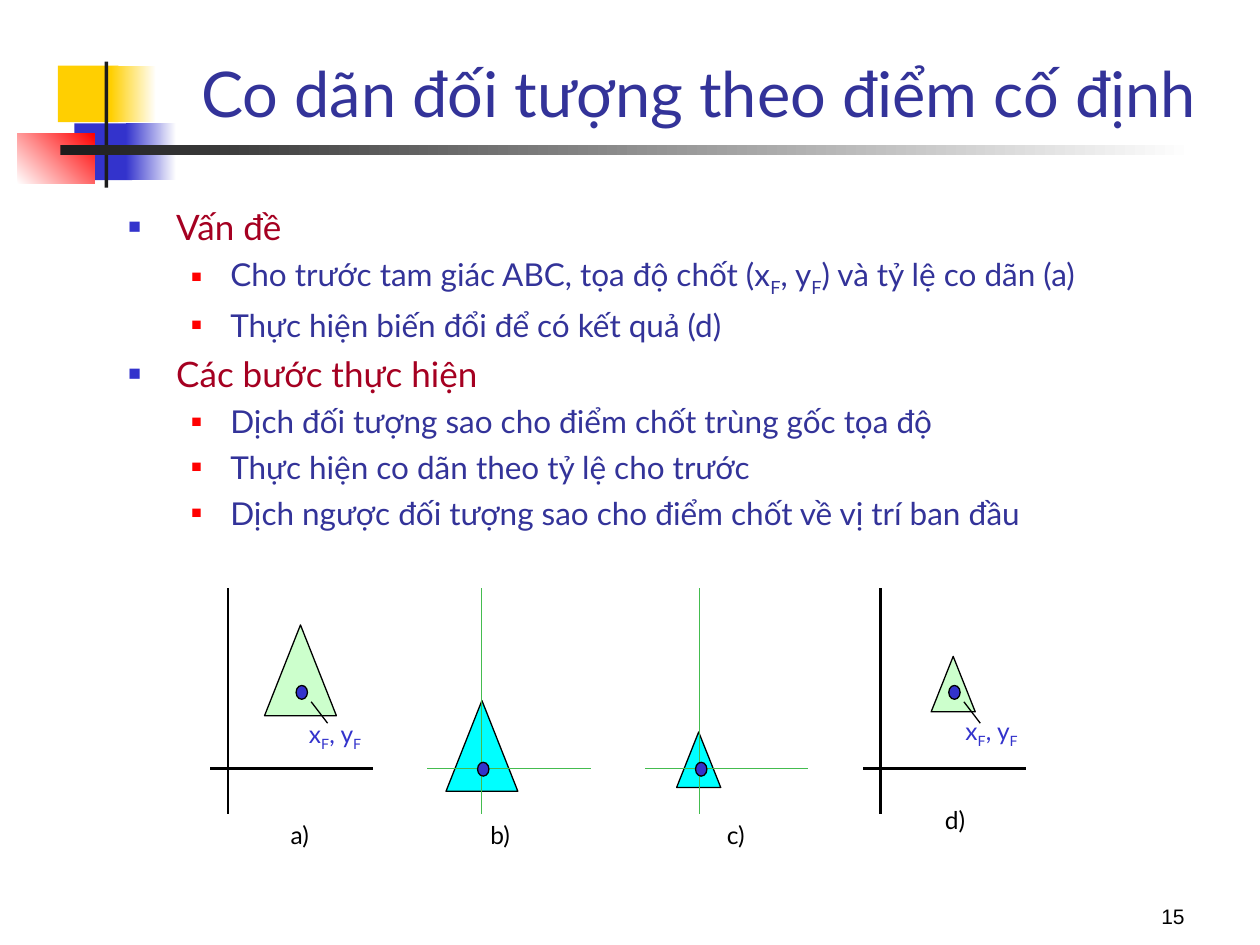
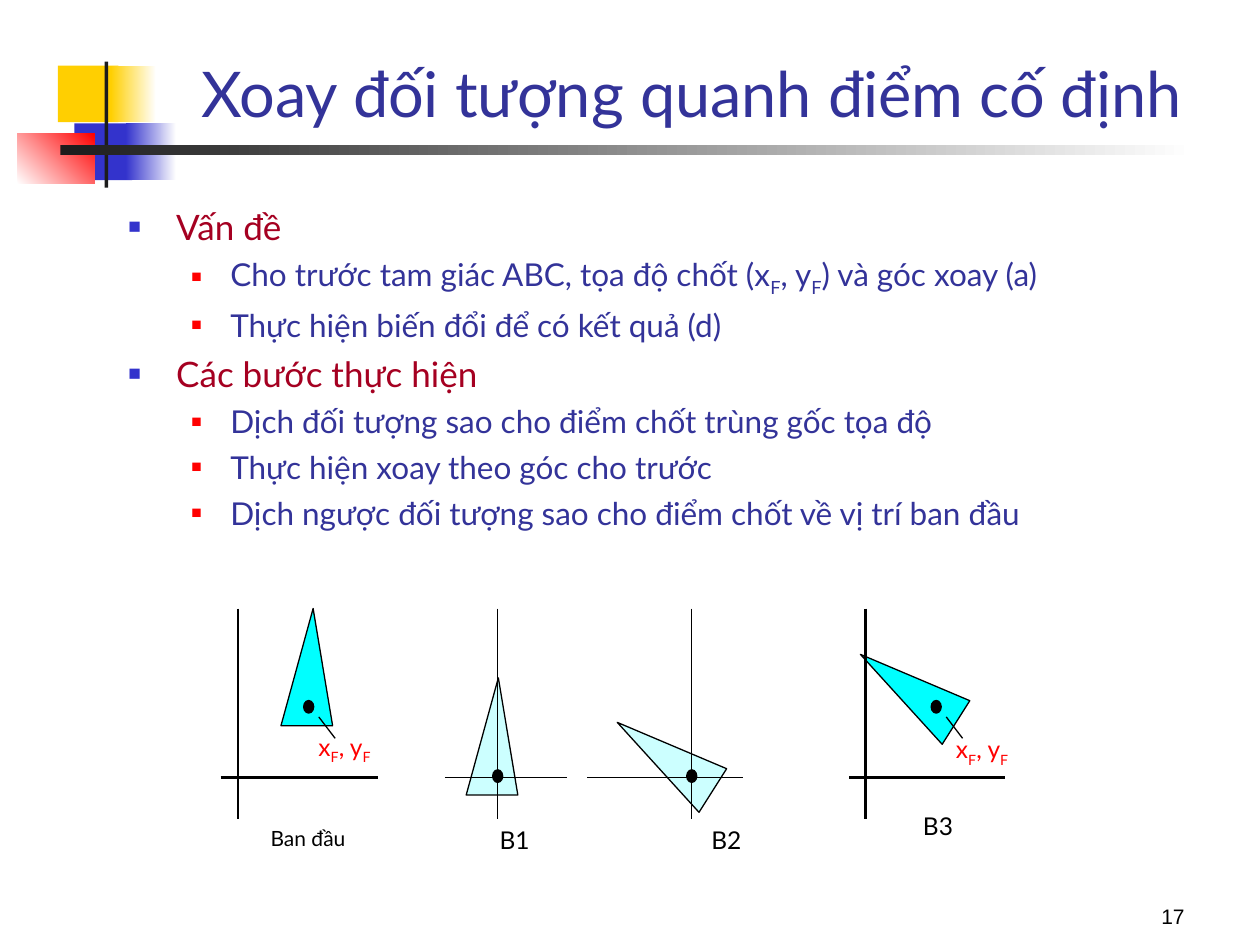
from lxml import etree
from pptx import Presentation
from pptx.dml.color import RGBColor
from pptx.enum.shapes import MSO_CONNECTOR, MSO_SHAPE
from pptx.enum.text import MSO_ANCHOR, PP_ALIGN
from pptx.oxml.ns import qn
from pptx.util import Inches, Pt

RECT, OVAL = MSO_SHAPE.RECTANGLE, MSO_SHAPE.OVAL
TRI = MSO_SHAPE.ISOSCELES_TRIANGLE
LINE = MSO_CONNECTOR.STRAIGHT
TOP, BOTTOM = MSO_ANCHOR.TOP, MSO_ANCHOR.BOTTOM
LEFT, MID, RIGHT = PP_ALIGN.LEFT, PP_ALIGN.CENTER, PP_ALIGN.RIGHT

WHITE = RGBColor(0xFF, 0xFF, 0xFF)
BLACK = RGBColor(0, 0, 0)
COAL = RGBColor(0x1C, 0x1C, 0x1C)
GOLD = RGBColor(0xFF, 0xCF, 0x01)
BLUE = RGBColor(0x33, 0x33, 0xCC)
NAVY = RGBColor(0x33, 0x33, 0x99)
RED = RGBColor(0xFF, 0, 0)
WINE = RGBColor(0xA5, 0, 0x21)
GREEN = RGBColor(0x44, 0xBC, 0x4F)
MINT = RGBColor(0xCC, 0xFF, 0xCC)
CYAN = RGBColor(0, 0xFF, 0xFF)
PALE = RGBColor(0xCC, 0xFF, 0xFF)

# Place, first colour, last colour of a fade (or None), angle
BANDS = [
    ((0.46, 0.52, 0.48, 0.45), GOLD, None, 0),
    ((0.88, 0.52, 0.36, 0.45), GOLD, WHITE, 0),
    ((0.59, 0.98, 0.46, 0.45), BLUE, None, 0),
    ((1, 0.98, 0.4, 0.45), BLUE, WHITE, 0),
    ((0.14, 1.06, 0.61, 0.4), WHITE, RED, 45),
    ((0.83, 0.49, 0.03, 1), COAL, None, 0),
    ((0.48, 1.15, 9, 0.08), COAL, WHITE, 0),
]

# Text size, colour, left margin, indent, space before, bullet colour, bullet %
LEVELS = [
    (20, WINE, 0.38, -0.38, 5, BLUE, 60),
    (18, NAVY, 0.81, -0.31, 4.5, RED, 55),
]

THICK, THIN, LEAF = (BLACK, 1.5), (BLACK, 0.75), (GREEN, 0.75)
BIG, SMALL, SLIM = (0.57, 0.72), (0.35, 0.44), (0.41, 0.93)

# Each figure: axis x, part of the flat axis left of it, its length, style;
# triangle offset from the dot, size, fill, turn; dot; note offset; caption
SLIDES = [
    dict(
        title="Co dãn đối tượng theo điểm cố định", page="15",
        given="tỷ lệ co dãn (a)", step="co dãn theo tỷ lệ",
        axis=(4.67, 6.46, 6.1), adj=0.5, dot=(0.09, 0.11), ink=BLUE,
        note=BLUE, width=0.86,
        figures=[
            (1.81, 0.14, 1.29, THICK, (-0.25, -0.48), BIG, MINT, 0,
             (2.35, 5.44), (-0.12, 0.22), ("a)", 1.95, 6.46, 14)),
            (3.82, 0.43, 1.3, LEAF, (-0.25, -0.49), BIG, CYAN, 0,
             (3.79, 6.05), None, ("b)", 3.54, 6.46, 14)),
            (5.55, 0.43, 1.29, LEAF, (-0.15, -0.24), SMALL, CYAN, 0,
             (5.52, 6.05), None, ("c)", 5.41, 6.46, 14)),
            (6.99, 0.14, 1.29, THICK, (-0.14, -0.23), SMALL, MINT, 0,
             (7.53, 5.44), (-0.09, 0.19), ("d)", 7.15, 6.34, 14)),
        ]),
    dict(
        title="Xoay đối tượng quanh điểm cố định", page="17",
        given="góc xoay (a)", step="xoay theo góc",
        axis=(4.83, 6.5, 6.17), adj=0.623, dot=(0.08, 0.1), ink=BLACK,
        note=RED, width=0.83,
        figures=[
            (1.89, 0.14, 1.25, THICK, (-0.18, -0.73), SLIM, CYAN, 0,
             (2.41, 5.56), (-0.09, 0.2), ("Ban đầu", 2.03, 6.5, 12)),
            (3.95, 0.42, 0.97, THIN, (-0.21, -0.73), SLIM, PALE, 0,
             (3.91, 6.11), None, ("B1", 3.67, 6.5, 14)),
            (5.49, 0.83, 1.24, THIN, (-0.39, -0.55), SLIM, PALE, 302.4,
             (5.45, 6.11), None, ("B2", 5.35, 6.5, 14)),
            (6.87, 0.13, 1.24, THICK, (-0.4, -0.54), SLIM, CYAN, 302.4,
             (7.39, 5.56), (-0.01, 0.22), ("B3", 7.03, 6.39, 14)),
        ]),
]


def write(par, text, size, color, font="Lato"):
    """Fill a paragraph; the letter after each underscore is a subscript."""
    head, *tails = text.split("_")
    par.text = head
    for tail in tails:
        sub = par.add_run()
        sub.text = tail[0]
        sub.font._element.set("baseline", "-25000")
        if tail[1:]:
            par.add_run().text = tail[1:]
    for run in par.runs:
        run.font.size = Pt(size)
        run.font.name = font
        run.font.color.rgb = color


def draw(slide, kind, at, fill, edge=True):
    shape = slide.shapes.add_shape(kind, *map(Inches, at))
    shape.shadow.inherit = False
    shape.fill.solid()
    shape.fill.fore_color.rgb = fill
    if edge:
        shape.line.color.rgb = BLACK
        shape.line.width = Pt(0.75)
    else:
        shape.line.fill.background()
    return shape


prs = Presentation()
prs.slide_width, prs.slide_height = Inches(10), Inches(7.5)

for data in SLIDES:
    slide = prs.slides.add_slide(prs.slide_layouts[6])

    for at, first, last, angle in BANDS:
        band = draw(slide, RECT, at, first, edge=False)
        if last is not None:
            band.fill.gradient()
            band.fill.gradient_angle = angle
            for stop, color in zip(band.fill.gradient_stops, (first, last)):
                stop.color.rgb = color

    # Place, text, size, colour, font, alignment, anchor, space around
    texts = [
        ((8.08, 6.92, 1.42, 0.5), data["page"], 12, BLACK, "Arial",
         RIGHT, BOTTOM, 0),
        ((1.5, 0.25, 8.36, 0.83), data["title"], 36, NAVY, "Lato",
         LEFT, BOTTOM, 0),
    ]

    body = slide.shapes.add_textbox(*map(Inches, (0.92, 1.58, 8.88, 5.12)))
    frame = body.text_frame
    frame.word_wrap = True
    points = [
        (0, "Vấn đề"),
        (1, f"Cho trước tam giác ABC, tọa độ chốt (x_F, y_F) và {data['given']}"),
        (1, "Thực hiện biến đổi để có kết quả (d)"),
        (0, "Các bước thực hiện"),
        (1, "Dịch đối tượng sao cho điểm chốt trùng gốc tọa độ"),
        (1, f"Thực hiện {data['step']} cho trước"),
        (1, "Dịch ngược đối tượng sao cho điểm chốt về vị trí ban đầu"),
    ]
    for i, (level, text) in enumerate(points):
        par = frame.add_paragraph() if i else frame.paragraphs[0]
        size, color, margin, indent, space, mark, scale = LEVELS[level]
        write(par, text, size, color)
        par.level = level
        par.space_before = Pt(space)
        props = par._p.get_or_add_pPr()
        props.set("marL", str(Inches(margin)))
        props.set("indent", str(Inches(indent)))
        tint = etree.SubElement(props, qn("a:buClr"))
        etree.SubElement(tint, qn("a:srgbClr"), val=str(mark))
        etree.SubElement(props, qn("a:buSzPct"), val=str(scale * 1000))
        etree.SubElement(props, qn("a:buFont"), typeface="Arial")
        etree.SubElement(props, qn("a:buChar"), char="■")

    top, foot, base = data["axis"]
    wide = data["width"]
    for (axis, back, length, style, shift, size, fill, turn,
         (x, y), note, (label, left, high, points)) in data["figures"]:
        tri = draw(slide, TRI, (x + shift[0], y + shift[1], *size), fill)
        tri.adjustments[0] = data["adj"]
        tri.rotation = turn

        start = axis - back
        lines = [((axis, top, axis, foot), style),
                 ((start, base, start + length, base), style)]
        if note:
            lines.append(((x + 0.12, y + 0.13, x + 0.25, y + 0.3), THIN))
            texts.append(((x + note[0], y + note[1], wide, 0.5), "x_F, y_F",
                          14, data["note"], "Lato", MID, TOP, 1))
        for ends, (color, weight) in lines:
            line = slide.shapes.add_connector(LINE, *map(Inches, ends))
            line.line.color.rgb = color
            line.line.width = Pt(weight)
            etree.SubElement(line._element.spPr, qn("a:effectLst"))
        draw(slide, OVAL, (x, y, *data["dot"]), data["ink"])
        texts.append(((left, high, wide, 0.5), label, points, BLACK, "Lato",
                      MID, TOP, 1))

    for at, text, size, color, font, align, anchor, space in texts:
        frame = slide.shapes.add_textbox(*map(Inches, at)).text_frame
        frame.word_wrap = True
        frame.vertical_anchor = anchor
        par = frame.paragraphs[0]
        write(par, text, size, color, font)
        par.alignment = align
        par.space_before = par.space_after = Pt(space)

prs.save("out.pptx")
